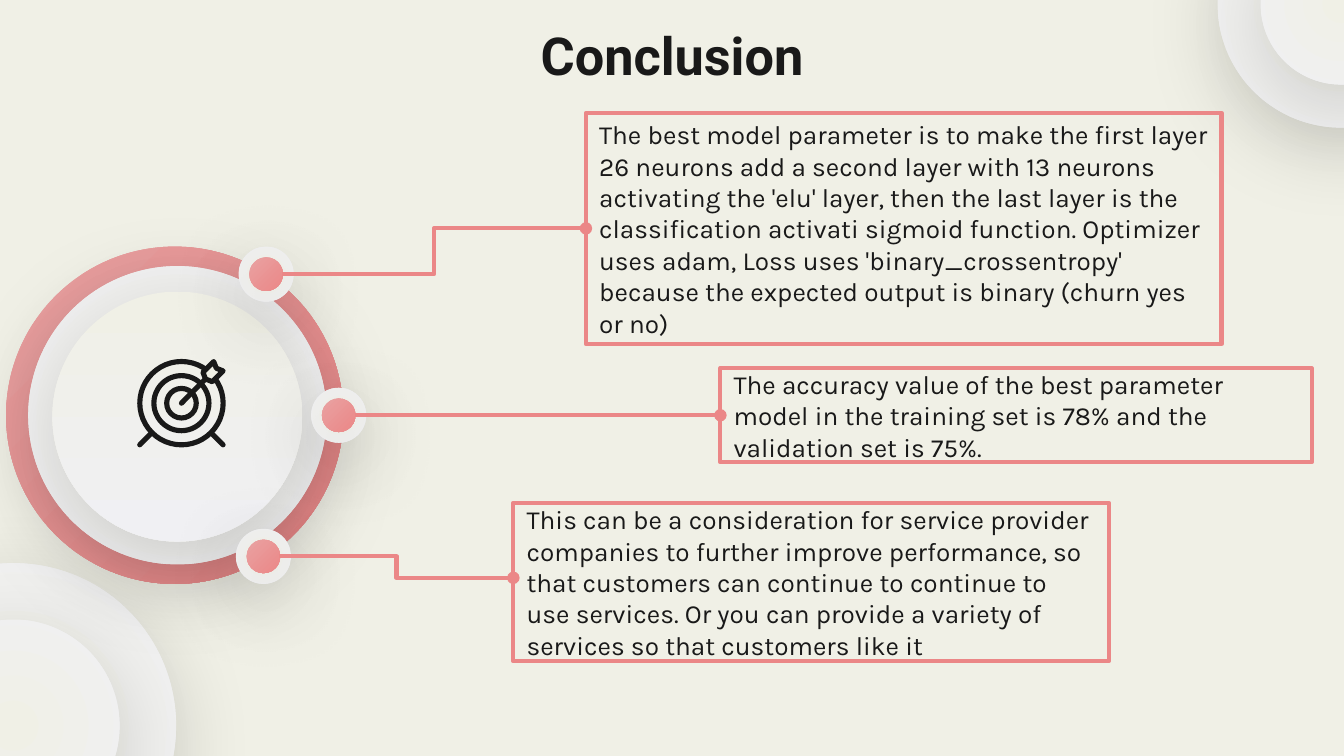
from dataclasses import dataclass
from lxml.etree import SubElement
from pptx import Presentation
from pptx.dml.color import RGBColor as RGB
from pptx.enum.shapes import MSO_CONNECTOR as LINK, MSO_SHAPE as SHAPE
from pptx.enum.text import MSO_ANCHOR as ANCHOR, PP_ALIGN as ALIGN
from pptx.oxml.ns import qn
from pptx.util import Inches, Pt


@dataclass(frozen=True)
class Theme:
    background: RGB = RGB(0xF0, 0xF0, 0xE6)
    mist: RGB = RGB(0xF0, 0xF0, 0xF3)
    rose: RGB = RGB(0xE9, 0xA2, 0xA2)
    coral: RGB = RGB(0xEB, 0x87, 0x87)
    ink: RGB = RGB(0x19, 0x19, 0x19)
    title_font: str = "Roboto"
    body_font: str = "Karla"
    title_size: float = 28
    body_size: float = 14
    rule: float = 2.25
    icon_stroke: float = 2.75


class Board:
    def __init__(self, slide, theme):
        self.slide = slide
        self.theme = theme
        slide.background.fill.solid()
        slide.background.fill.fore_color.rgb = theme.background

    def text(self, words, box, title=False):
        theme = self.theme
        area = self.slide.shapes.add_textbox(*map(Inches, box))
        frame = area.text_frame
        frame.word_wrap = True
        frame.vertical_anchor = ANCHOR.MIDDLE
        frame.margin_left = frame.margin_right = Inches(0.1)
        frame.margin_top = frame.margin_bottom = Inches(0.1)
        line = frame.paragraphs[0]
        line.alignment = ALIGN.CENTER if title else ALIGN.LEFT
        run = line.add_run()
        run.text = words
        run.font.name = theme.title_font if title else theme.body_font
        run.font.size = Pt(theme.title_size if title else theme.body_size)
        run.font.bold = title
        run.font.color.rgb = theme.ink
        if not title:
            self.stroke(area.line, theme.coral, theme.rule)

    def stroke(self, line, color, width):
        line.color.rgb = color
        line.width = Pt(width)

    def circle(self, x, y, size):
        corner = Inches(x - size / 2), Inches(y - size / 2)
        disc = self.slide.shapes.add_shape(SHAPE.OVAL, *corner, Inches(size), Inches(size))
        disc.shadow.inherit = False
        return disc

    def disc(self, x, y, size, accent=False, angle=None, shadow=True):
        theme = self.theme
        disc = self.circle(x, y, size)
        disc.line.fill.background()
        disc.fill.gradient()
        colors = (theme.rose, theme.coral) if accent else (theme.background, theme.mist)
        for stop, color, position in zip(disc.fill.gradient_stops, colors, (0, 1)):
            stop.color.rgb = color
            stop.position = position
        if angle is None:
            self.radial(disc)
        else:
            disc.fill.gradient_angle = 360 - angle
        if shadow:
            self.soft_shadow(disc)

    def radial(self, disc):
        gradient = disc._element.spPr.find(qn("a:gradFill"))
        gradient.remove(gradient.find(qn("a:lin")))
        spread = SubElement(gradient, qn("a:path"), path="circle")
        SubElement(spread, qn("a:fillToRect"), l="50000", t="50000", r="50000", b="50000")

    def soft_shadow(self, disc):
        effects = disc._element.spPr.find(qn("a:effectLst"))
        shadow = SubElement(effects, qn("a:outerShdw"), blurRad=str(Pt(45)),
                            dist=str(Pt(11.25)), dir=str(85 * 60000),
                            algn="bl", rotWithShape="0")
        color = SubElement(shadow, qn("a:srgbClr"), val="000000")
        SubElement(color, qn("a:alpha"), val="15000")

    def link(self, start, end, kind, color, width, oval=False):
        line = self.slide.shapes.add_connector(kind, *map(Inches, (*start, *end)))
        self.stroke(line.line, color, width)
        outline = line.line._get_or_add_ln()
        if oval:
            SubElement(outline, qn("a:tailEnd"), type="oval")
        else:
            outline.set("cap", "rnd")
        SubElement(line._element.spPr, qn("a:effectLst"))

    def target(self, x, y):
        theme = self.theme
        for size in (0.62, 0.41, 0.22):
            ring = self.circle(x, y, size)
            ring.fill.background()
            self.stroke(ring.line, theme.ink, theme.icon_stroke)
        strokes = [((x + side * 0.23, y + 0.23), (x + side * 0.31, y + 0.31)) for side in (-1, 1)]
        strokes.append(((x, y), (x + 0.18, y - 0.18)))
        for start, end in strokes:
            self.link(start, end, LINK.STRAIGHT, theme.ink, theme.icon_stroke)
        outline = [(0.16, -0.23), (0.24, -0.31), (0.26, -0.26),
                   (0.31, -0.24), (0.23, -0.16), (0.18, -0.18)]
        points = [(Inches(x + dx), Inches(y + dy)) for dx, dy in outline]
        builder = self.slide.shapes.build_freeform(*points[0])
        builder.add_line_segments(points[1:], close=True)
        feather = builder.convert_to_shape()
        feather.shadow.inherit = False
        feather.fill.solid()
        feather.fill.fore_color.rgb = theme.background
        self.stroke(feather.line, theme.ink, theme.icon_stroke)


FINDINGS = [
    ("The best model parameter is to make the first layer 26 neurons add a second layer "
     "with 13 neurons activating the 'elu' layer, then the last layer is the classification "
     "activati sigmoid function. Optimizer uses adam, Loss uses 'binary_crossentropy' "
     "because the expected output is binary (churn yes or no)",
     (4.36, 0.84, 4.73, 1.72), (1.98, 2.04), 1.7),
    ("The accuracy value of the best parameter model in the training set is 78% "
     "and the validation set is 75%.",
     (5.36, 2.74, 4.4, 0.7), (2.52, 3.09), 3.09),
    ("This can be a consideration for service provider companies to further improve "
     "performance, so that customers can continue to continue to use services. "
     "Or you can provide a variety of services so that customers like it",
     (3.82, 3.74, 4.43, 1.18), (1.96, 4.14), 4.3),
]


def main():
    deck = Presentation()
    deck.slide_width, deck.slide_height = Inches(10), Inches(10 * 9 / 16)
    theme = Theme()
    board = Board(deck.slides.add_slide(deck.slide_layouts[6]), theme)

    for x, y, sizes in ((0.1, 5.4, (2.42, 1.58)), (9.98, 0.03, (1.84, 1.2))):
        for size in sizes:
            board.disc(x, y, size)

    board.text("Conclusion", (0.78, 0.2, 8.44, 0.41), title=True)
    for words, box, _, _ in FINDINGS:
        board.text(words, box)

    board.disc(1.3, 3.09, 2.51, accent=True, angle=45, shadow=False)
    board.disc(1.32, 3.09, 2.22)
    board.disc(1.32, 3.1, 1.86, angle=90)

    for _, _, node, _ in FINDINGS:
        board.disc(*node, 0.41)
        board.disc(*node, 0.25, accent=True, angle=45)
    for _, (left, *_), (x, y), anchor in FINDINGS:
        board.link((x + 0.12, y), (left, anchor), LINK.ELBOW,
                   theme.coral, theme.rule, oval=True)

    board.target(1.35, 3)
    deck.save("out.pptx")


if __name__ == "__main__":
    main()
